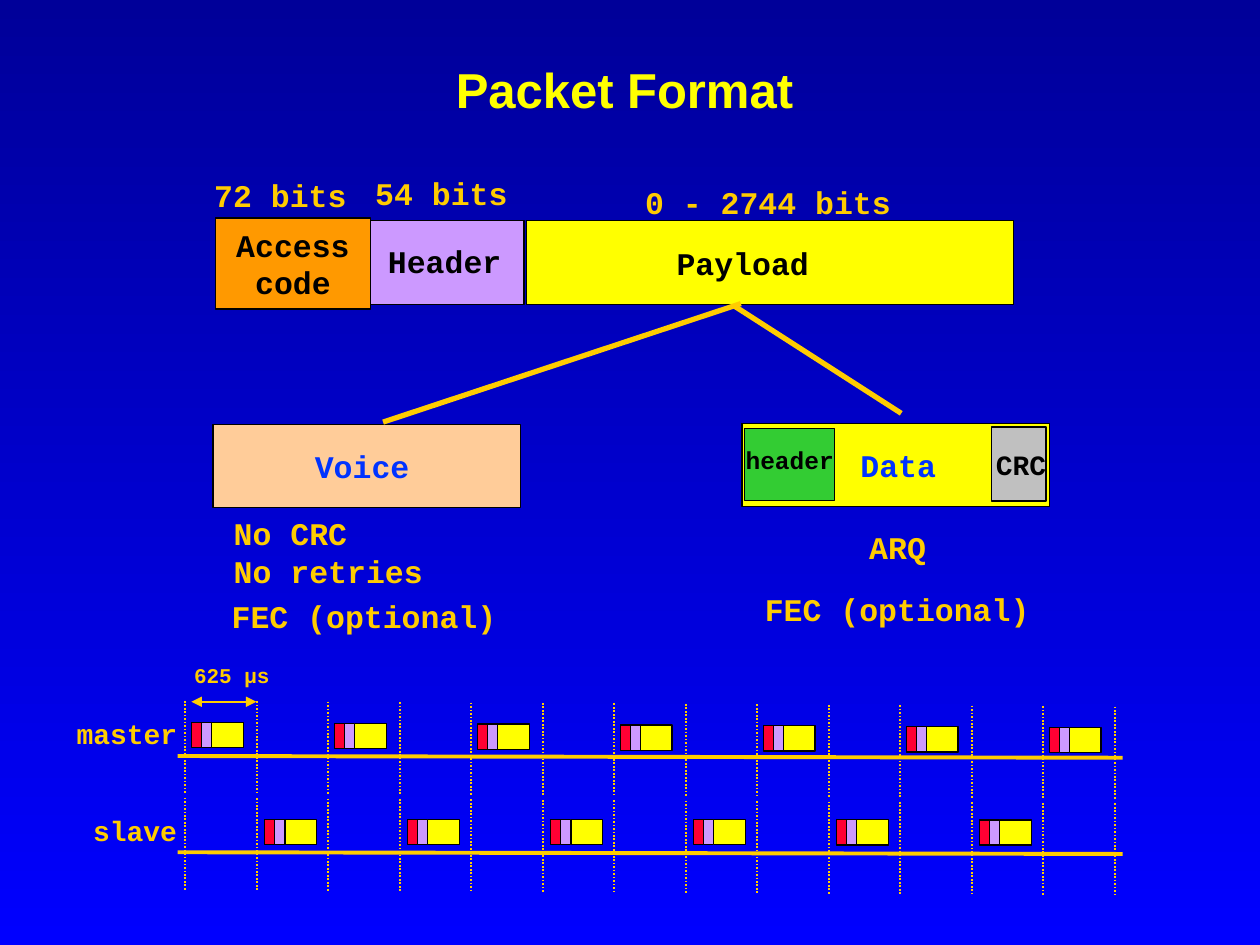
"""Build the packet format slide with its master and slave timeline."""
from dataclasses import dataclass

from lxml import etree
from pptx import Presentation
from pptx.dml.color import RGBColor
from pptx.enum import dml, shapes, text
from pptx.oxml import ns
from pptx.util import Pt

COLORS = {
    "top": "000099", "bottom": "0000FF", "title": "FFFF00", "gold": "FFCC00",
    "black": "000000", "blue": "0033FF", "yellow": "FFFF00", "violet": "CC99FF",
    "orange": "FF9900", "green": "33CC33", "gray": "C0C0C0", "peach": "FFCC99",
    "red": "FF0033",
}
MONO = "Courier New"
SLOT = 40.85
SLOT_LINES = 14


@dataclass(frozen=True)
class Block:
    left: float
    top: float
    width: float
    height: float
    fill: str
    line: float = 0.75


@dataclass(frozen=True)
class Label:
    lines: tuple[str, ...]
    left: float
    top: float
    color: str = "gold"
    size: float = 18
    middle: bool = False


@dataclass(frozen=True)
class Stroke:
    x1: float
    y1: float
    x2: float
    y2: float
    width: float
    dotted: bool = False
    arrows: bool = False


@dataclass(frozen=True)
class Timeline:
    name: Label
    slots_top: float
    axis_top: float
    packet_left: float
    packet_top: float
    packet_drift: float
    packets: int


BLOCKS = (
    Block(301, 126, 278, 48, "yellow"),
    Block(208.8, 126, 90.7, 48, "violet"),
    Block(424, 242, 175.7, 47.5, "yellow"),
    Block(425.5, 244.8, 51, 41, "green", 0.25),
    Block(566.6, 244, 31, 42.5, "gray", 1),
    Block(121.7, 242.6, 175.7, 47.5, "peach"),
)
ACCESS = Block(123.1, 124.6, 88.6, 51.8, "orange", 1)

LABELS = (
    Label(("72 bits",), 115.2, 97.2, middle=True),
    Label(("54 bits",), 207.2, 96, middle=True),
    Label(("0 - 2744 bits",), 361.4, 101, middle=True),
    Label(("Header",), 214.5, 134.9, "black", middle=True),
    Label(("Payload",), 379.4, 135.6, "black", middle=True),
    Label(("Data",), 484.6, 251.3, "blue"),
    Label(("Voice",), 172.8, 252.2, "blue"),
    Label(("CRC",), 562, 252.2, "black", 16),
    Label(("header",), 419, 250.5, "black", 14),
    Label(("No CRC", "No retries"), 126.5, 290.4),
    Label(("FEC (optional)",), 125.3, 337.7),
    Label(("ARQ",), 489.6, 298.3),
    Label(("FEC (optional)",), 430, 333.6),
    Label(("625 µs",), 103.8, 375, size=12),
)

STROKES = (
    Stroke(218.9, 241.2, 423.4, 173.5, 3),
    Stroke(419.8, 175, 515, 236.2, 3),
    Stroke(109.4, 401, 146.5, 401, 1, arrows=True),
)

TIMELINES = (
    Timeline(Label(("master",), 36.7, 406.1, size=16), 400.5, 432, 109.4, 412.8, 0.5, 7),
    Timeline(Label(("slave",), 46.1, 461.5, size=16), 455.8, 487, 151.2, 468.1, 0.1, 6),
)


def rgb(name: str) -> RGBColor:
    return RGBColor.from_string(COLORS[name])


def draw_block(parent, block: Block):
    box = parent.add_shape(shapes.MSO_SHAPE.RECTANGLE, Pt(block.left), Pt(block.top),
                           Pt(block.width), Pt(block.height))
    box.shadow.inherit = False
    box.fill.solid()
    box.fill.fore_color.rgb = rgb(block.fill)
    box.line.color.rgb = rgb("black")
    box.line.width = Pt(block.line)
    return box


def write_lines(frame, lines: tuple[str, ...], color: str, size: float,
                centered: bool, font: str = MONO) -> None:
    for index, line in enumerate(lines):
        para = frame.add_paragraph() if index else frame.paragraphs[0]
        para.alignment = text.PP_ALIGN.CENTER if centered else text.PP_ALIGN.LEFT
        span = para.add_run()
        span.text = line
        span.font.name = font
        span.font.size = Pt(size)
        span.font.bold = True
        span.font.color.rgb = rgb(color)


def draw_label(parent, label: Label) -> None:
    width = max(map(len, label.lines)) * 0.6 * label.size + 14.4
    height = len(label.lines) * 1.2 * label.size + 7.2
    box = parent.add_textbox(Pt(label.left), Pt(label.top), Pt(width), Pt(height))
    frame = box.text_frame
    frame.word_wrap = False
    frame.auto_size = text.MSO_AUTO_SIZE.SHAPE_TO_FIT_TEXT
    frame.vertical_anchor = text.MSO_ANCHOR.MIDDLE if label.middle else text.MSO_ANCHOR.TOP
    write_lines(frame, label.lines, label.color, label.size, label.middle)


def draw_stroke(parent, stroke: Stroke) -> None:
    line = parent.add_connector(shapes.MSO_CONNECTOR.STRAIGHT, Pt(stroke.x1), Pt(stroke.y1),
                                Pt(stroke.x2), Pt(stroke.y2))
    line.line.color.rgb = rgb("gold")
    line.line.width = Pt(stroke.width)
    if stroke.dotted:
        line.line.dash_style = dml.MSO_LINE.ROUND_DOT
    if stroke.arrows:
        outline = line.line._get_or_add_ln()
        for end in ("a:headEnd", "a:tailEnd"):
            etree.SubElement(outline, ns.qn(end), type="triangle")
    etree.SubElement(line._element.spPr, ns.qn("a:effectLst"))


def draw_packet(parent, left: float, top: float) -> None:
    group = parent.add_group_shape()
    for offset, width, fill in ((0, 5.8, "red"), (11.6, 18, "yellow"), (5.8, 5.8, "violet")):
        draw_block(group.shapes, Block(left + offset, top, width, 14.4, fill))


def draw_timeline(parent, timeline: Timeline) -> None:
    for index in range(SLOT_LINES):
        x = 105.9 + index * SLOT
        top = timeline.slots_top + index * 0.25
        draw_stroke(parent, Stroke(x, top, x, top + 52.7, 1, dotted=True))
    draw_stroke(parent, Stroke(101.5, timeline.axis_top, 641.5, timeline.axis_top + 1, 2.25))
    for index in range(timeline.packets):
        draw_packet(parent, timeline.packet_left + index * 2 * SLOT,
                    timeline.packet_top + index * timeline.packet_drift)
    draw_label(parent, timeline.name)


def draw_title(page) -> None:
    title = page.shapes.title
    title.left, title.top, title.width, title.height = Pt(77.8), Pt(30.2), Pt(558), Pt(41.8)
    frame = title.text_frame
    frame.margin_left = frame.margin_right = frame.margin_top = frame.margin_bottom = 0
    frame.vertical_anchor = text.MSO_ANCHOR.MIDDLE
    write_lines(frame, ("Packet Format",), "title", 28, True, "Arial")


def main() -> None:
    deck = Presentation()
    deck.slide_width, deck.slide_height = Pt(720), Pt(540)
    page = deck.slides.add_slide(deck.slide_layouts[5])
    backdrop = page.background.fill
    backdrop.gradient()
    backdrop.gradient_angle = 270
    for stop, name in zip(backdrop.gradient_stops, ("top", "bottom")):
        stop.color.rgb = rgb(name)
    draw_title(page)
    for block in BLOCKS:
        draw_block(page.shapes, block)
    access = draw_block(page.shapes, ACCESS).text_frame
    access.word_wrap = True
    write_lines(access, ("Access", "code"), "black", 18, True)
    for stroke in STROKES:
        draw_stroke(page.shapes, stroke)
    for label in LABELS:
        draw_label(page.shapes, label)
    for timeline in TIMELINES:
        draw_timeline(page.shapes, timeline)
    deck.save("out.pptx")


if __name__ == "__main__":
    main()
